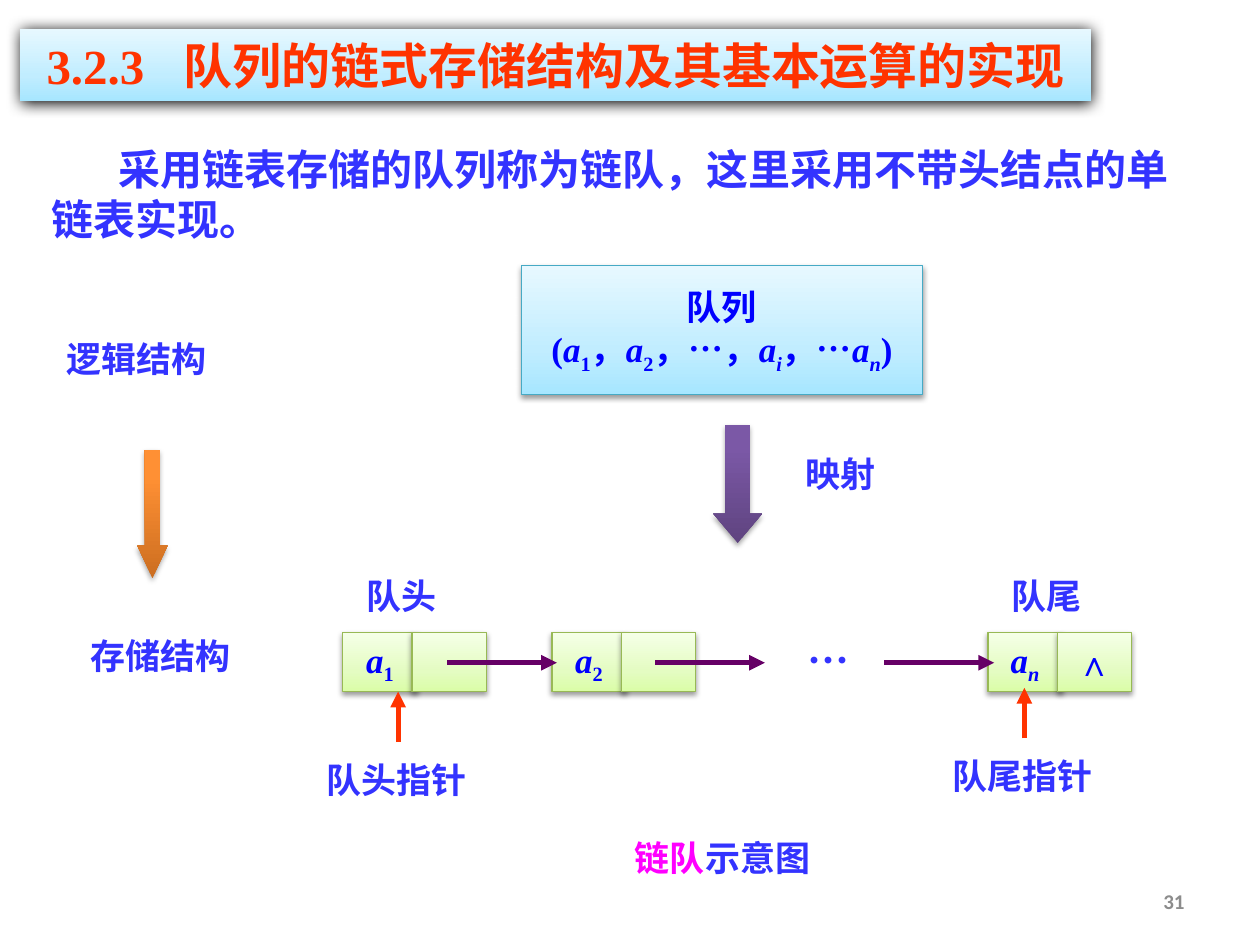
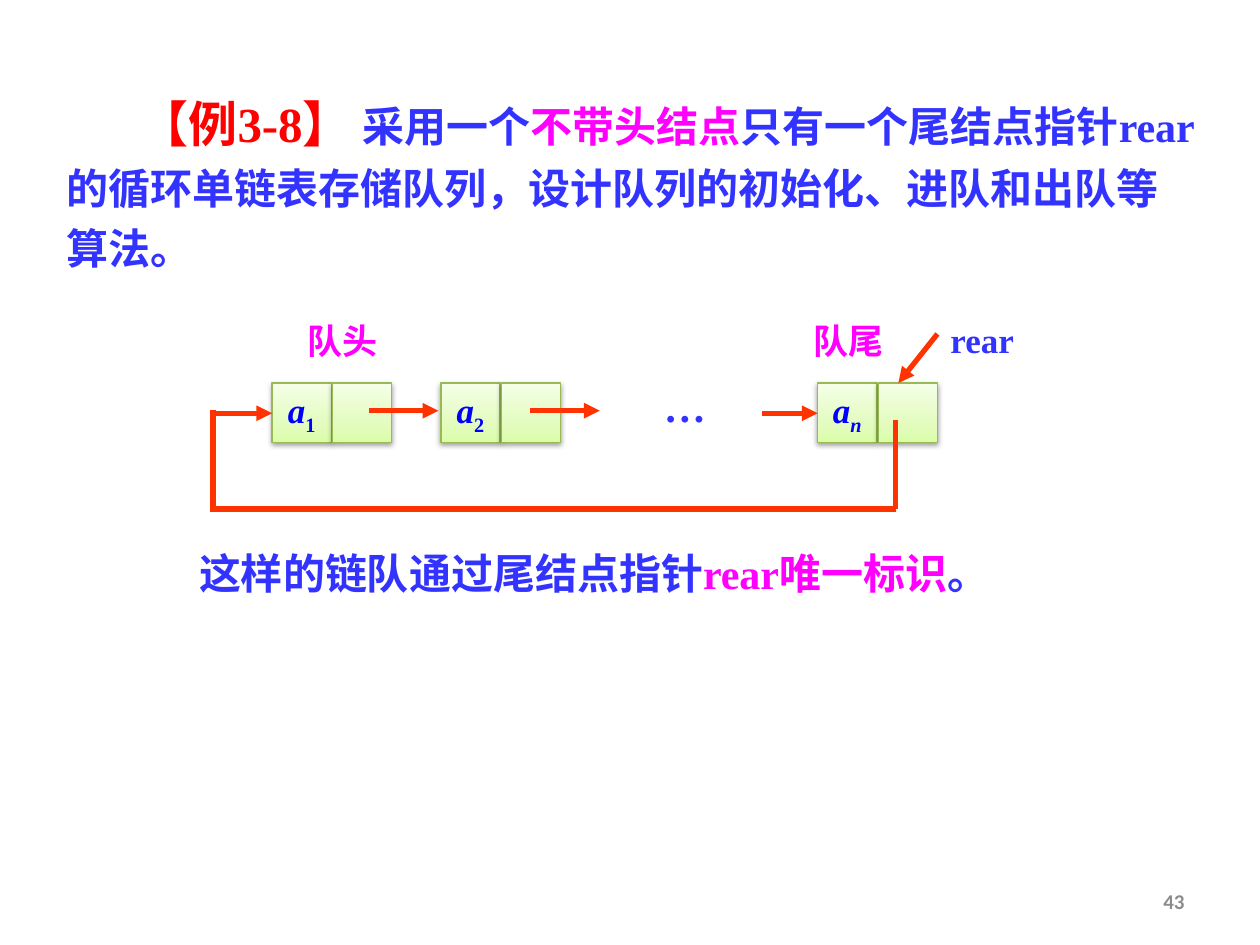
from dataclasses import dataclass
from typing import NamedTuple

import pptx
import pptx.dml.color
import pptx.enum.shapes
import pptx.enum.text
import pptx.oxml
import pptx.oxml.ns
import pptx.util
from pptx.util import Inches

qn = pptx.oxml.ns.qn
Align = pptx.enum.text.PP_ALIGN
Anchor = pptx.enum.text.MSO_ANCHOR
Preset = pptx.enum.shapes.MSO_SHAPE

SERIF, SANS = "Times New Roman", "Noto Sans CJK SC"
BLUE, INK, PINK = "3333FF", "0000FF", "FF00FF"
RED, ORANGE, PLUM, GREY = "FF0000", "FF3300", "660066", "8C8C8C"


class Run(NamedTuple):
    text: str
    color: str = ""
    size: float = 0
    slant: bool = False
    sub: bool = False


class Box(NamedTuple):
    left: float
    top: float
    width: float
    height: float

    def lengths(self) -> list:
        return [Inches(side) for side in self]


class Shade(NamedTuple):
    alpha: int
    blur: float
    drop: float


class Skin(NamedTuple):
    stops: tuple
    edge: str = ""
    shade: Shade = Shade(38, 3.1, 1.6)


@dataclass
class Style:
    size: float = 20
    color: str = BLUE
    face: str = SERIF
    bold: bool = True
    align: Align = Align.CENTER
    indent: float = 0
    tab: float = 0
    lead: float = 0


class Arrow(NamedTuple):
    start: tuple
    end: tuple
    color: str = ORANGE
    head: bool = True


class Node(NamedTuple):
    left: float
    label: list
    mark: str = ""


SKY = ((0, "A7E6FF"), (35, "C1EDFF"), (100, "E7F8FF"))
SOFT = Shade(35, 3.1, 1.8)
BAND = Skin(SKY, shade=Shade(100, 8.5, 1))
QUEUE = Skin(SKY, "46AAC5")
CELL = Skin(((0, "DAFDA7"), (35, "E4FCC2"), (100, "F5FFE7")), "98B955")
VIOLET = Skin(((0, "5F4480"), (80, "7B58A6"), (100, "7C57A8")), shade=SOFT)
AMBER = Skin(((0, "CC6E20"), (80, "FF9034"), (100, "FF9136")), shade=SOFT)

LABEL = Style()
INKED = Style(color=INK)
LEFT = Style(align=Align.LEFT)
TITLE = Style(28, ORANGE, align=Align.LEFT, tab=1.09)
FOOT = Style(12, GREY, "Calibri", align=Align.RIGHT)


def paint(color: str) -> pptx.dml.color.RGBColor:
    return pptx.dml.color.RGBColor.from_string(color)


def add(parent, tag: str, **attrs):
    """Append a drawing element with the given attributes."""
    child = parent.makeelement(qn(tag), {key: str(val) for key, val in attrs.items()})
    parent.append(child)
    return child


def write(frame, lines: list, style: Style) -> None:
    """Fill a text frame; each line is a string or a list of runs."""
    for pos, line in enumerate(lines):
        para = frame.add_paragraph() if pos else frame.paragraphs[0]
        props = para._p.get_or_add_pPr()
        if style.indent:
            props.set("indent", str(Inches(style.indent)))
        if style.lead:
            para.line_spacing = style.lead
        if style.tab:
            add(add(props, "a:tabLst"), "a:tab", pos=Inches(style.tab), algn="l")
        para.alignment = style.align
        font = para.font
        font.name, font.bold = style.face, style.bold
        font.size = pptx.util.Pt(style.size)
        font.color.rgb = paint(style.color)
        add(props.find(qn("a:defRPr")), "a:ea", typeface=SANS)
        for part in [Run(line)] if isinstance(line, str) else line:
            run = para.add_run()
            run.text = part.text
            if part.color:
                run.font.color.rgb = paint(part.color)
            if part.size:
                run.font.size = pptx.util.Pt(part.size)
            if part.slant:
                run.font.italic = True
            if part.sub:
                run._r.get_or_add_rPr().set("baseline", "-25000")


def label(slide, box: Box, line, style: Style = LABEL, anchor: Anchor = Anchor.TOP) -> None:
    frame = slide.shapes.add_textbox(*box.lengths()).text_frame
    frame.word_wrap = True
    frame.vertical_anchor = anchor
    write(frame, [line], style)


def block(slide, box: Box, skin: Skin, kind: Preset = Preset.RECTANGLE):
    """Draw a shape with an upward gradient and a soft shadow."""
    shape = slide.shapes.add_shape(kind, *box.lengths())
    shape.fill.gradient()
    shape.fill.gradient_angle = 90
    props = shape._element.spPr
    stops = props.find(".//" + qn("a:gsLst"))
    stops.clear()
    for pos, color in skin.stops:
        add(add(stops, "a:gs", pos=pos * 1000), "a:srgbClr", val=color)
    if skin.edge:
        shape.line.color.rgb = paint(skin.edge)
        shape.line.width = pptx.util.Pt(0.75)
    else:
        shape.line.fill.background()
    shape.shadow.inherit = False
    shade = add(props.find(qn("a:effectLst")), "a:outerShdw",
                blurRad=pptx.util.Pt(skin.shade.blur), dist=pptx.util.Pt(skin.shade.drop),
                dir=5400000, rotWithShape=0)
    add(add(shade, "a:srgbClr", val="000000"), "a:alpha", val=skin.shade.alpha * 1000)
    return shape


def panel(slide, box: Box, skin: Skin, lines: list) -> None:
    frame = block(slide, box, skin).text_frame
    frame.word_wrap = False
    frame.vertical_anchor = Anchor.MIDDLE
    write(frame, lines, INKED)


def thick(slide, box: Box, skin: Skin, head: float) -> None:
    """Draw a block arrow that points down."""
    shape = block(slide, box, skin, Preset.DOWN_ARROW)
    shape.adjustments[0], shape.adjustments[1] = 0.5, head


def link(slide, arrow: Arrow) -> None:
    ends = [Inches(side) for side in arrow.start + arrow.end]
    line = slide.shapes.add_connector(pptx.enum.shapes.MSO_CONNECTOR.STRAIGHT, *ends)
    line.line.color.rgb = paint(arrow.color)
    line.line.width = pptx.util.Pt(3)
    props = line._element.spPr
    if arrow.head:
        add(props.find(qn("a:ln")), "a:tailEnd", type="triangle")
    add(props, "a:effectLst")


def chain(slide, nodes: list, top: float, width: float, step: float) -> None:
    """Draw list nodes, each with a data cell and a pointer cell."""
    for node in nodes:
        for shift, line in ((0, node.label), (step, node.mark)):
            box = Box(node.left + shift, top, width, 0.47)
            if line:
                panel(slide, box, CELL, [line])
            else:
                block(slide, box, CELL)


def item(index: str) -> list:
    """Give the runs of the letter a with a subscript."""
    return [Run("a", slant=True), Run(index, slant=index.isalpha(), sub=True)]


def folio(slide, number: int) -> None:
    label(slide, Box(7.17, 6.95, 2.33, 0.4), str(number), FOOT, Anchor.MIDDLE)


def linked(slide) -> None:
    band = block(slide, Box(0.16, 0.23, 8.5, 0.57), BAND).text_frame
    band.margin_left = Inches(0.21)
    band.margin_right = 0
    band.word_wrap = True
    band.vertical_anchor = Anchor.TOP
    write(band, ["3.2.3\t队列的链式存储结构及其基本运算的实现"], TITLE)
    label(slide, Box(0.31, 1.09, 9.3, 0.91),
          "采用链表存储的队列称为链队，这里采用不带头结点的单链表实现。",
          Style(24, align=Align.LEFT, indent=0.53))

    comma = Run("，")
    terms = [Run("("), *item("1"), comma, *item("2"), Run("，…，"), *item("i"),
             Run("，…"), *item("n"), Run(")")]
    panel(slide, Box(4.14, 2.11, 3.18, 1.02), QUEUE, ["队列", terms])
    thick(slide, Box(5.66, 3.37, 0.39, 0.94), VIOLET, 0.6)
    thick(slide, Box(1.09, 3.57, 0.24, 1.02), AMBER, 1.08)
    label(slide, Box(6.21, 3.54, 0.93, 0.43), "映射")
    for left, top, text in ((0.43, 2.63, "逻辑结构"), (0.62, 4.99, "存储结构")):
        label(slide, Box(left, top, 1.45, 0.44), text, LEFT)

    chain(slide, [Node(2.72, item("1")), Node(4.38, item("2")), Node(7.84, item("n"), "∧")],
          5.02, 0.59, 0.55)
    for left in (3.55, 5.2, 7.02):
        link(slide, Arrow((left, 5.26), (left + 0.87, 5.26), PLUM))
    label(slide, Box(6.1, 4.99, 0.95, 0.5), "…", Style(24, face=SANS))
    for left, text in ((2.64, "队头"), (7.76, "队尾")):
        label(slide, Box(left, 4.51, 1.1, 0.44), text)
    for left, tip, text in ((3.16, 5.49, "队头指针"), (8.13, 5.46, "队尾指针")):
        link(slide, Arrow((left, tip + 0.4), (left, tip)))
        label(slide, Box(left - 0.88, tip + 0.48, 1.73, 0.44), text)
    label(slide, Box(4.64, 6.59, 2.19, 0.44), [Run("链队", PINK), Run("示意图")])
    folio(slide, 31)


def circle(slide) -> None:
    label(slide, Box(0.43, 0.6, 9.18, 1.64),
          [Run("【例3-8】 ", RED, 28), Run("采用一个"), Run("不带头结点", PINK),
           Run("只有一个尾结点指针rear的循环单链表存储队列，设计队列的初始化、进队和出队等算法。")],
          Style(24, align=Align.LEFT, indent=0.58, lead=1.2))

    chain(slide, [Node(2.16, item("1")), Node(3.5, item("2")), Node(6.49, item("n"))],
          3.04, 0.47, 0.48)
    label(slide, Box(5, 2.97, 0.87, 0.5), "…", Style(24))
    low, near, far = 4.04, 1.69, 7.11
    for arrow in (
        Arrow((2.93, 3.26), (3.48, 3.26)),
        Arrow((4.21, 3.26), (4.76, 3.26)),
        Arrow((6.05, 3.28), (6.49, 3.28)),
        Arrow((far, 3.33), (far, low), head=False),
        Arrow((near - 0.02, low), (far, low), head=False),
        Arrow((near, 3.25), (near, low), head=False),
        Arrow((near, 3.28), (2.16, 3.28)),
        Arrow((7.44, 2.65), (7.13, 3.04)),
    ):
        link(slide, arrow)

    for left, text in ((2.24, "队头"), (6.26, "队尾")):
        label(slide, Box(left, 2.49, 0.95, 0.43), text, Style(color=PINK))
    label(slide, Box(7.36, 2.48, 0.87, 0.43), "rear")
    label(slide, Box(1.17, 4.3, 7.09, 0.5),
          [Run("这样的链队通过尾结点指针"), Run("rear唯一标识", PINK), Run("。")], Style(24))
    folio(slide, 43)


def main() -> None:
    deck = pptx.Presentation()
    deck.slide_width, deck.slide_height = Inches(10), Inches(7.5)
    for draw in (linked, circle):
        draw(deck.slides.add_slide(deck.slide_layouts[6]))
    deck.save("out.pptx")


if __name__ == "__main__":
    main()
